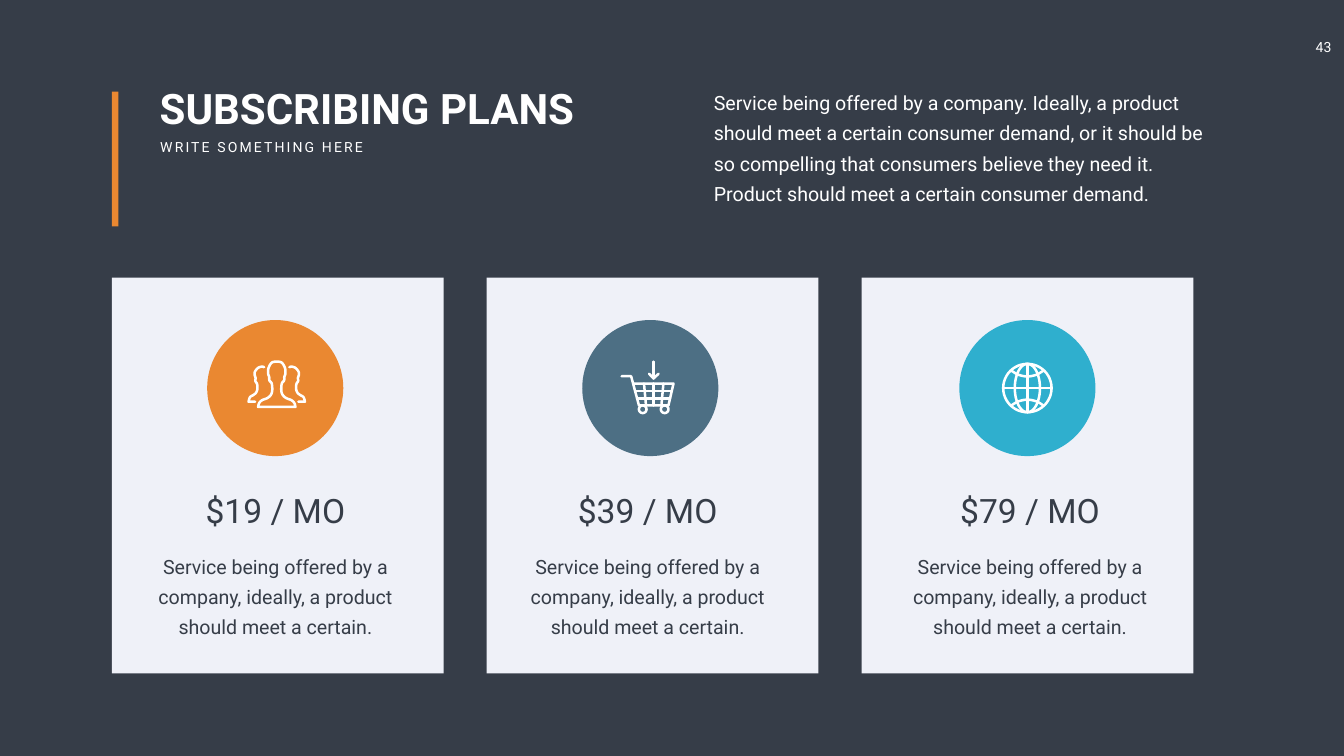
from math import cos, sin, pi
from pptx import Presentation
from pptx.dml.color import RGBColor as RGB
from pptx.enum.shapes import MSO_SHAPE as Kind
from pptx.enum.text import PP_ALIGN as Align
from pptx.oxml.ns import qn
from pptx.util import Pt

COLORS = {
    "dark": "363D48", "white": "FFFFFF", "card": "EFF1F8",
    "orange": "EA8831", "slate": "4D6F84", "blue": "2FAFCE",
}


def add_text(text, left, top, width, height, size, color="white", align=Align.LEFT,
             wrap=True, inset=7.2, lead=None, bold=False, space=0):
    box = slide.shapes.add_textbox(Pt(left), Pt(top), Pt(width), Pt(height))
    frame = box.text_frame
    frame.word_wrap = wrap
    frame.margin_left = frame.margin_right = Pt(inset)
    frame.margin_top = frame.margin_bottom = Pt(inset / 2)
    frame.text = text
    para = frame.paragraphs[0]
    para.alignment = align
    if lead:
        para.line_spacing = Pt(lead)
    run = para.runs[0]
    run.font.name = "Roboto"
    run.font.size = Pt(size)
    run.font.bold = bold
    run.font.color.rgb = RGB.from_string(COLORS[color])
    if space:
        run.font._element.set("spc", str(space * 100))


def curve(points, steps=6):
    ends = [points[0], *points, points[-1]]
    out = [points[0]]
    for a, b, c, d in zip(ends, ends[1:], ends[2:], ends[3:]):
        for step in range(1, steps + 1):
            t = step / steps
            out.append(tuple(
                (2 * q + (r - p) * t + (2 * p - 5 * q + 4 * r - s) * t ** 2
                 + (3 * q - p - 3 * r + s) * t ** 3) / 2
                for p, q, r, s in zip(a, b, c, d)))
    return out


deck = Presentation()
deck.slide_width, deck.slide_height = Pt(1919.52), Pt(1080)
slide = deck.slides.add_slide(deck.slide_layouts[6])
back = slide.background.fill
back.solid()
back.fore_color.rgb = RGB.from_string(COLORS["dark"])

add_text("43", 1857.6, 48.24, 65.52, 38.88, 20, align=Align.CENTER, wrap=False, inset=14.4)
add_text("SUBSCRIBING PLANS", 221.04, 114.48, 748, 80, 60, bold=True)
add_text("WRITE SOMETHING HERE", 221.76, 194.4, 313.2, 31.68, 20, wrap=False, space=3)
add_text("Service being offered by a company. Ideally, a product should meet a certain "
         "consumer demand, or it should be so compelling that consumers believe they need it. "
         "Product should meet a certain consumer demand.",
         1002.24, 112.32, 756.72, 187.2, 28, inset=17.28, lead=43)

head = [(0, -52.5), (9, -51), (14, -45), (17, -37), (17, -28), (15, -22), (14.5, -15),
        (10, -9), (9, 5), (12, 14), (19, 20), (29, 24), (35, 30), (37, 37.5)]
side = [(25, -41.5), (30, -42.5), (37, -40), (43, -33), (44, -27), (42, -20), (42.5, -14),
        (39, -8), (38.5, 2), (41, 9), (46, 13.5), (53, 18), (56, 27)]
person = curve([(-x, y) for x, y in head[:0:-1]] + head)
friend = curve(side) + [(43, 27)]
people = [[(3 + x, y) for x, y in person + person[:1]]]
people += [[(3 + sign * x, y) for x, y in friend] for sign in (1, -1)]

ring = [(cos(pi * n / 24), sin(pi * n / 24)) for n in range(49)]
cart = [
    [(-57, -23.5), (-38, -23.5), (-22.5, 34.5), (36, 34.5), (46, -9), (-34, -9)],
    [(-30, 5.5), (42.5, 5.5)], [(-26, 20.5), (39, 20.5)],
    [(-12.5, -9), (-8.5, 34.5)], [(6.5, -9), (6.5, 34.5)], [(26, -9), (22, 34.5)],
    [(6.5, -52.5), (6.5, -19)], [(-2.5, -28.5), (6.5, -19), (16.5, -28.5)],
]
cart += [[(mid + 7.5 * x, 42 + 7.5 * y) for x, y in ring] for mid in (-15, 28.5)]

globe = [[(wide * x, 48 * y) for x, y in ring] for wide in (48, 25)]
globe += [[(-48, 0), (48, 0)], [(0, -48), (0, 48)]]
globe += [curve([(-31, 34 * sign), (-18, 26.5 * sign), (0, 23 * sign),
                 (18, 26.5 * sign), (31, 34 * sign)]) for sign in (-1, 1)]

plans = [
    ("$19 / MO", "orange", people, 393.12, 393.3),
    ("$39 / MO", "slate", cart, 928.8, 925),
    ("$79 / MO", "blue", globe, 1467.36, 1471.1),
]
mid_y, disc = 554.4, 194.4
blocks = [(Kind.RECTANGLE, 159.84, 131.04, 9.36, 192.24, "orange")]
for n, (price, color, icon, mid, text_mid) in enumerate(plans):
    blocks.append((Kind.RECTANGLE, 159.84 + 535.32 * n, 396.72, 473.76, 565.2, "card"))
    blocks.append((Kind.OVAL, mid - disc / 2, mid_y - disc / 2, disc, disc, color))
for kind, left, top, width, height, color in blocks:
    shape = slide.shapes.add_shape(kind, Pt(left), Pt(top), Pt(width), Pt(height))
    shape.shadow.inherit = False
    shape.fill.solid()
    shape.fill.fore_color.rgb = RGB.from_string(COLORS[color])
    shape.line.fill.background()

for price, color, icon, mid, text_mid in plans:
    add_text(price, text_mid - 169.2, 696.96, 338.4, 65.52, 48, "dark", Align.CENTER)
    add_text("Service being offered by a company, ideally, a product should meet a certain.",
             text_mid - 181.1, 779.76, 362.2, 133.92, 28, "dark", Align.CENTER, lead=43)
    strokes = [[(round(x * 72), round(y * 72)) for x, y in stroke] for stroke in icon]
    pen = slide.shapes.build_freeform(*strokes[0][0], scale=Pt(0.01))
    for n, stroke in enumerate(strokes):
        if n:
            pen.move_to(*stroke[0])
        pen.add_line_segments(stroke[1:], close=False)
    shape = pen.convert_to_shape(Pt(mid), Pt(mid_y))
    shape.shadow.inherit = False
    shape.fill.background()
    shape.line.width = Pt(3.6)
    shape.line.color.rgb = RGB.from_string(COLORS["white"])
    shape.element.spPr.find(qn("a:ln")).set("cap", "rnd")

deck.save("out.pptx")
